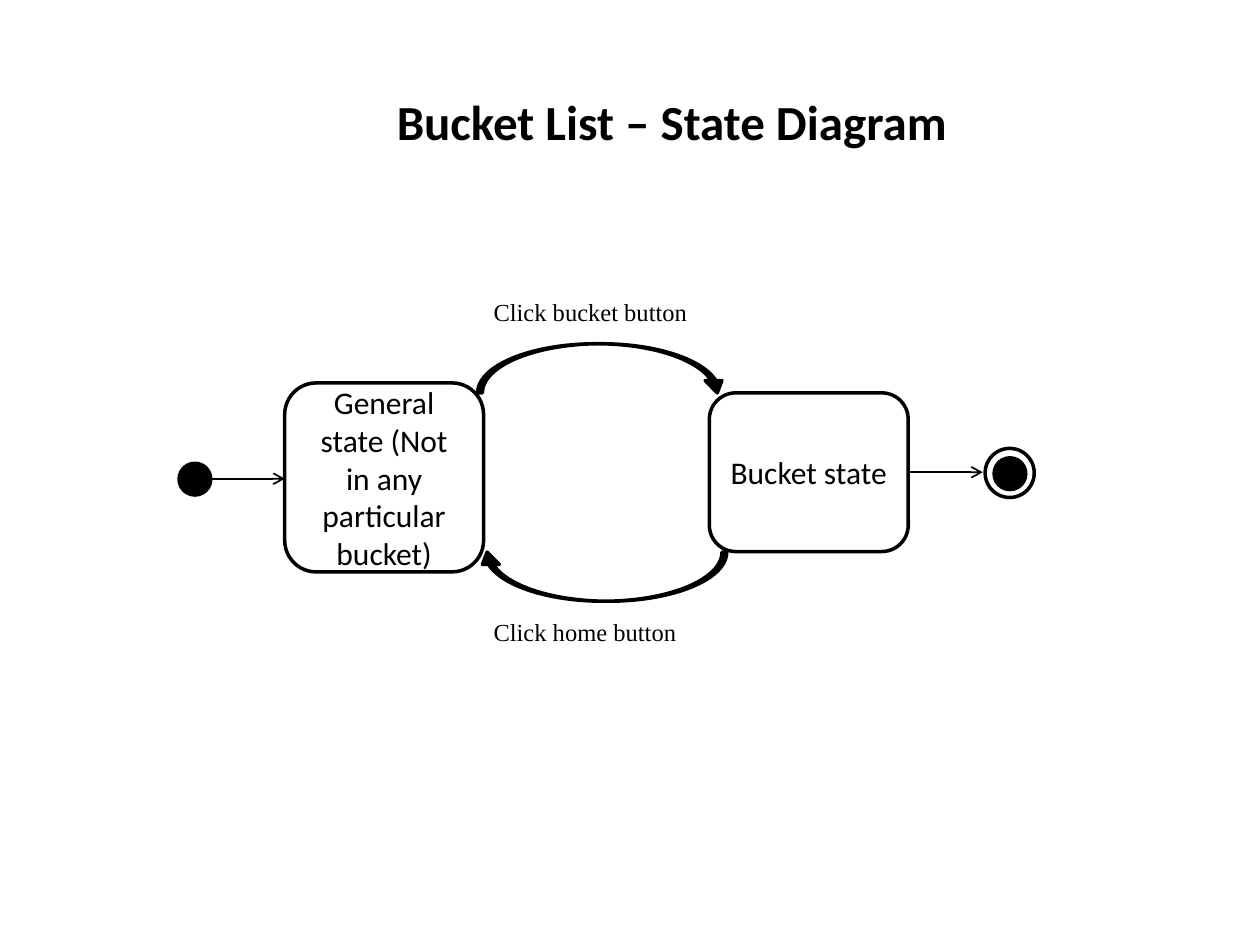
import pptx
import pptx.util
import pptx.dml.color
import pptx.enum.shapes
import pptx.enum.text
import pptx.oxml
import pptx.oxml.ns

Cm = pptx.util.Cm
Pt = pptx.util.Pt
SHAPE = pptx.enum.shapes.MSO_SHAPE
ALIGN = pptx.enum.text.PP_ALIGN
ANCHOR = pptx.enum.text.MSO_ANCHOR
AUTO_SIZE = pptx.enum.text.MSO_AUTO_SIZE
COLORS = {"ink": "000000"}
INK = pptx.dml.color.RGBColor.from_string(COLORS["ink"])


def add_outline(parent, kind, box, filled):
    outline = parent.add_shape(kind, *[Cm(length) for length in box])
    outline.shadow.inherit = False
    if filled:
        outline.fill.solid()
        outline.fill.fore_color.rgb = INK
    else:
        outline.fill.background()
    outline.line.color.rgb = INK
    outline.line.width = Pt(2)
    return outline


def write(frame, text, font, size, bold=False):
    run = frame.paragraphs[0].add_run()
    run.text = text
    run.font.name = font
    run.font.size = Pt(size)
    run.font.bold = bold
    run.font.color.rgb = INK


deck = pptx.Presentation()
deck.slide_width, deck.slide_height = Cm(25.4), Cm(19.05)
slide = deck.slides.add_slide(deck.slide_layouts[6])
shapes = slide.shapes

for label, box in [
    ("General state (Not in any particular bucket)", (5.74, 7.72, 4.01, 3.81)),
    ("Bucket state", (14.3, 7.92, 4.01, 3.2)),
]:
    state = add_outline(shapes, SHAPE.ROUNDED_RECTANGLE, box, False)
    state.text_frame.word_wrap = True
    state.text_frame.vertical_anchor = ANCHOR.MIDDLE
    state.text_frame.paragraphs[0].alignment = ALIGN.CENTER
    write(state.text_frame, label, "Calibri", 18)

for label, top in [("Click bucket button", 5.87), ("Click home button", 12.32)]:
    event = shapes.add_textbox(Cm(9.7), Cm(top), Cm(4.88), Cm(0.86))
    event.text_frame.word_wrap = True
    event.text_frame.auto_size = AUTO_SIZE.SHAPE_TO_FIT_TEXT
    write(event.text_frame, label, "Times New Roman", 14)

for start, end, level in [(4.24, 5.74, 9.65), (18.31, 19.81, 9.52)]:
    flow = shapes.add_connector(
        pptx.enum.shapes.MSO_CONNECTOR.STRAIGHT, Cm(start), Cm(level), Cm(end), Cm(level)
    )
    flow.line.color.rgb = INK
    flow.line.width = Pt(1)
    flow.line._get_or_add_ln().append(
        pptx.oxml.parse_xml(f'<a:tailEnd {pptx.oxml.ns.nsdecls("a")} type="arrow"/>')
    )
    flow._element.spPr.append(
        pptx.oxml.parse_xml(f'<a:effectLst {pptx.oxml.ns.nsdecls("a")}/>')
    )

add_outline(shapes, SHAPE.OVAL, (3.61, 9.34, 0.64, 0.64), True)
end_state = shapes.add_group_shape()
add_outline(end_state.shapes, SHAPE.OVAL, (20.04, 9.23, 0.64, 0.64), True)
add_outline(end_state.shapes, SHAPE.OVAL, (19.86, 9.04, 0.99, 0.99), False)

title = shapes.add_textbox(Cm(7.75), Cm(1.73), Cm(11.73), Cm(1.45))
title.text_frame.word_wrap = False
title.text_frame.auto_size = AUTO_SIZE.SHAPE_TO_FIT_TEXT
write(title.text_frame, "Bucket List – State Diagram", "Calibri", 28, True)

for left, top, turn in [(9.63, 6.93, 0), (9.65, 11.13, 180)]:
    transition = add_outline(shapes, SHAPE.CURVED_DOWN_ARROW, (left, top, 5, 0.99), True)
    transition.rotation = turn
    for index, value in enumerate((0.096, 0.342, 0.25)):
        transition.adjustments[index] = value

deck.save("out.pptx")
